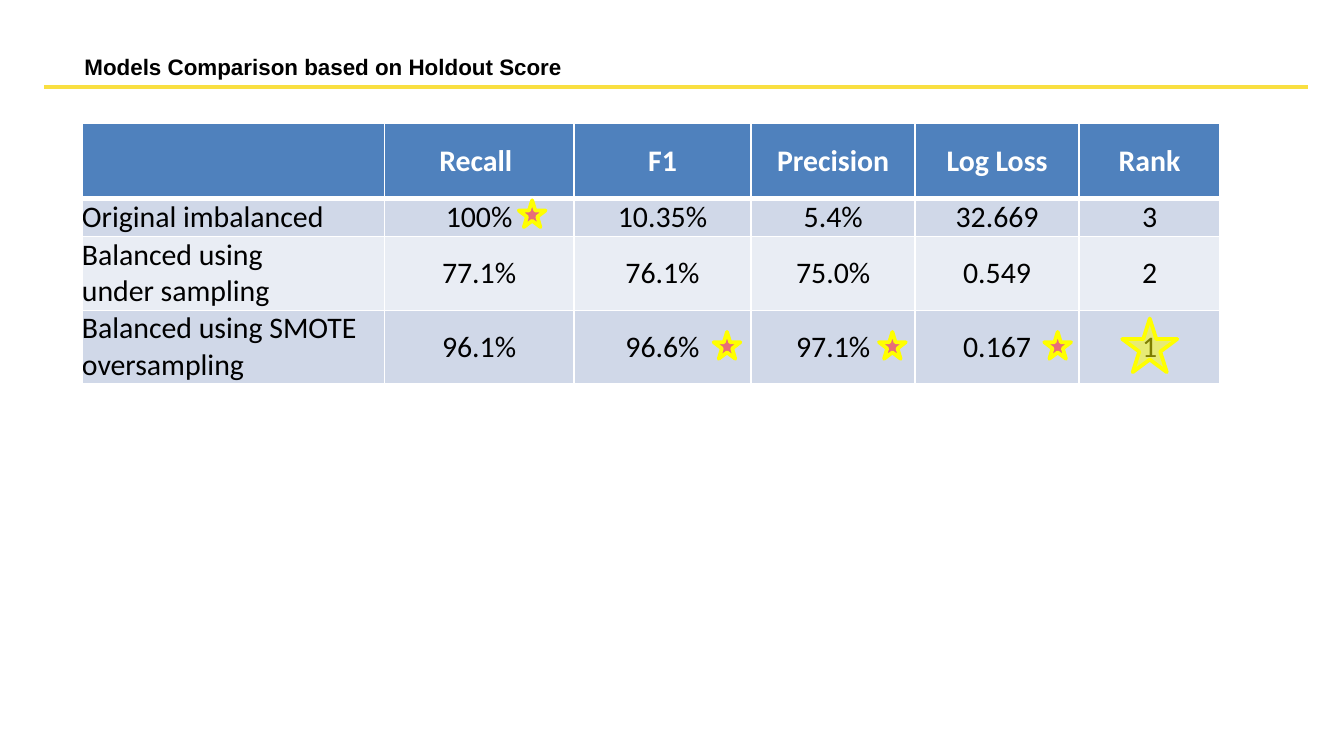
from itertools import accumulate

from lxml import etree
from pptx import Presentation
from pptx.dml.color import RGBColor
from pptx.enum.shapes import MSO_CONNECTOR, MSO_SHAPE
from pptx.enum.text import MSO_ANCHOR, PP_ALIGN
from pptx.oxml.ns import qn
from pptx.util import Inches, Pt

STAR = MSO_SHAPE.STAR_5_POINT
STRAIGHT = MSO_CONNECTOR.STRAIGHT
MIDDLE = MSO_ANCHOR.MIDDLE
LEFT, CENTER = PP_ALIGN.LEFT, PP_ALIGN.CENTER

TITLE = "Models Comparison based on Holdout Score"
SCORES = [
    ["", "Recall ", "F1", "Precision", "Log Loss", "Rank"],
    ["Original imbalanced", "100%", "10.35%", "5.4%", "32.669", "3"],
    ["Balanced using\nunder sampling", "77.1%", "76.1%", "75.0%", "0.549", "2"],
    ["Balanced using SMOTE oversampling", "96.1%", "96.6%", "97.1%", "0.167", "1"],
]
# Best score of each metric: column, star top, gap from star left to column's right edge
BEST_SCORES = [(1, 1.49, 0.41), (2, 2.47, 0.28), (3, 2.47, 0.27), (4, 2.47, 0.26)]
RANK_COLUMN = 5

THEME = {
    "title_font": "Arial", "title_size": 12,
    "table_font": "Calibri", "table_size": 16,
    "text": "000000", "header_text": "FFFFFF",
    "header": "4F81BD", "bands": ["D0D8E8", "E9EDF4"],
    "border": "FFFFFF", "rule": "F9DF41",
    "star_line": "FFFF00", "best_score": "FF0004", "best_rank": "FFFF00",
}

SLIDE_WIDTH = Inches(10)
SLIDE_HEIGHT = SLIDE_WIDTH * 9 // 16
TABLE_LEFT, TABLE_TOP = 0.61, 0.92
COLUMN_WIDTHS = [2.25, 1.41, 1.32, 1.22, 1.22, 1.05]
ROW_HEIGHTS = [0.56, 0.28, 0.55, 0.52]
COLUMN_EDGES = list(accumulate(COLUMN_WIDTHS, initial=TABLE_LEFT))


def color(key):
    return RGBColor.from_string(THEME[key])


def add_run(paragraph, text, font, size, color_key, bold):
    run = paragraph.add_run()
    run.text = text
    run.font.name = font
    run.font.size = Pt(size)
    run.font.bold = bold
    run.font.color.rgb = color(color_key)


def set_borders(cell, row):
    """Thin borders, with a thick one between the header and the body."""
    widths = {"a:lnL": 1, "a:lnR": 1, "a:lnT": 3 if row == 1 else 1,
              "a:lnB": 3 if row == 0 else 1}
    properties = cell._tc.get_or_add_tcPr()
    for side, width in widths.items():
        border = etree.SubElement(properties, qn(side), w=str(Pt(width)))
        fill = etree.SubElement(border, qn("a:solidFill"))
        etree.SubElement(fill, qn("a:srgbClr"), val=THEME["border"])


def fill_cell(cell, text, row, column):
    set_borders(cell, row)
    cell.fill.solid()
    band = THEME["bands"][(row - 1) % 2]
    cell.fill.fore_color.rgb = color("header") if row == 0 else RGBColor.from_string(band)
    cell.margin_left = cell.margin_right = cell.margin_top = cell.margin_bottom = 0
    cell.vertical_anchor = MIDDLE
    frame = cell.text_frame
    for index, line in enumerate(text.split("\n")):
        paragraph = frame.add_paragraph() if index else frame.paragraphs[0]
        paragraph.alignment = CENTER if column else LEFT
        if line:
            add_run(paragraph, line, THEME["table_font"], THEME["table_size"],
                    "text" if row else "header_text", row == 0)


def add_score_table(slide):
    table = slide.shapes.add_table(
        len(SCORES), len(COLUMN_WIDTHS), Inches(TABLE_LEFT), Inches(TABLE_TOP),
        Inches(sum(COLUMN_WIDTHS)), Inches(sum(ROW_HEIGHTS))).table
    for table_column, width in zip(table.columns, COLUMN_WIDTHS):
        table_column.width = Inches(width)
    for row, (height, texts) in enumerate(zip(ROW_HEIGHTS, SCORES)):
        table.rows[row].height = Inches(height)
        for column, text in enumerate(texts):
            fill_cell(table.cell(row, column), text, row, column)


def add_title(slide):
    title = slide.shapes.add_textbox(Inches(0.53), Inches(0.35), Inches(4.72), Inches(0.3))
    title.text_frame.word_wrap = True
    add_run(title.text_frame.paragraphs[0], TITLE, THEME["title_font"],
            THEME["title_size"], "text", True)
    rule = slide.shapes.add_connector(
        STRAIGHT, Inches(0.33), Inches(0.65), Inches(9.73), Inches(0.65))
    rule.line.color.rgb = color("rule")
    rule.line.width = Pt(2)
    etree.SubElement(rule._element.spPr, qn("a:effectLst"))


def add_star(slide, left, top, width, height, fill_key):
    star = slide.shapes.add_shape(STAR, Inches(left), Inches(top), Inches(width), Inches(height))
    star.shadow.inherit = False
    star.fill.solid()
    star.fill.fore_color.rgb = color(fill_key)
    fill_color = star._element.spPr.find(qn("a:solidFill"))[0]
    etree.SubElement(fill_color, qn("a:alpha"), val="49000")
    star.line.color.rgb = color("star_line")
    star.line.width = Pt(2)


def main():
    deck = Presentation()
    deck.slide_width, deck.slide_height = SLIDE_WIDTH, SLIDE_HEIGHT
    slide = deck.slides.add_slide(deck.slide_layouts[6])
    add_score_table(slide)
    add_title(slide)
    rank_center = (COLUMN_EDGES[RANK_COLUMN] + COLUMN_EDGES[RANK_COLUMN + 1]) / 2
    add_star(slide, rank_center - 0.41 / 2, 2.37, 0.41, 0.4, "best_rank")
    for column, top, gap in BEST_SCORES:
        add_star(slide, COLUMN_EDGES[column + 1] - gap, top, 0.2, 0.2, "best_score")
    deck.save("out.pptx")


if __name__ == "__main__":
    main()
